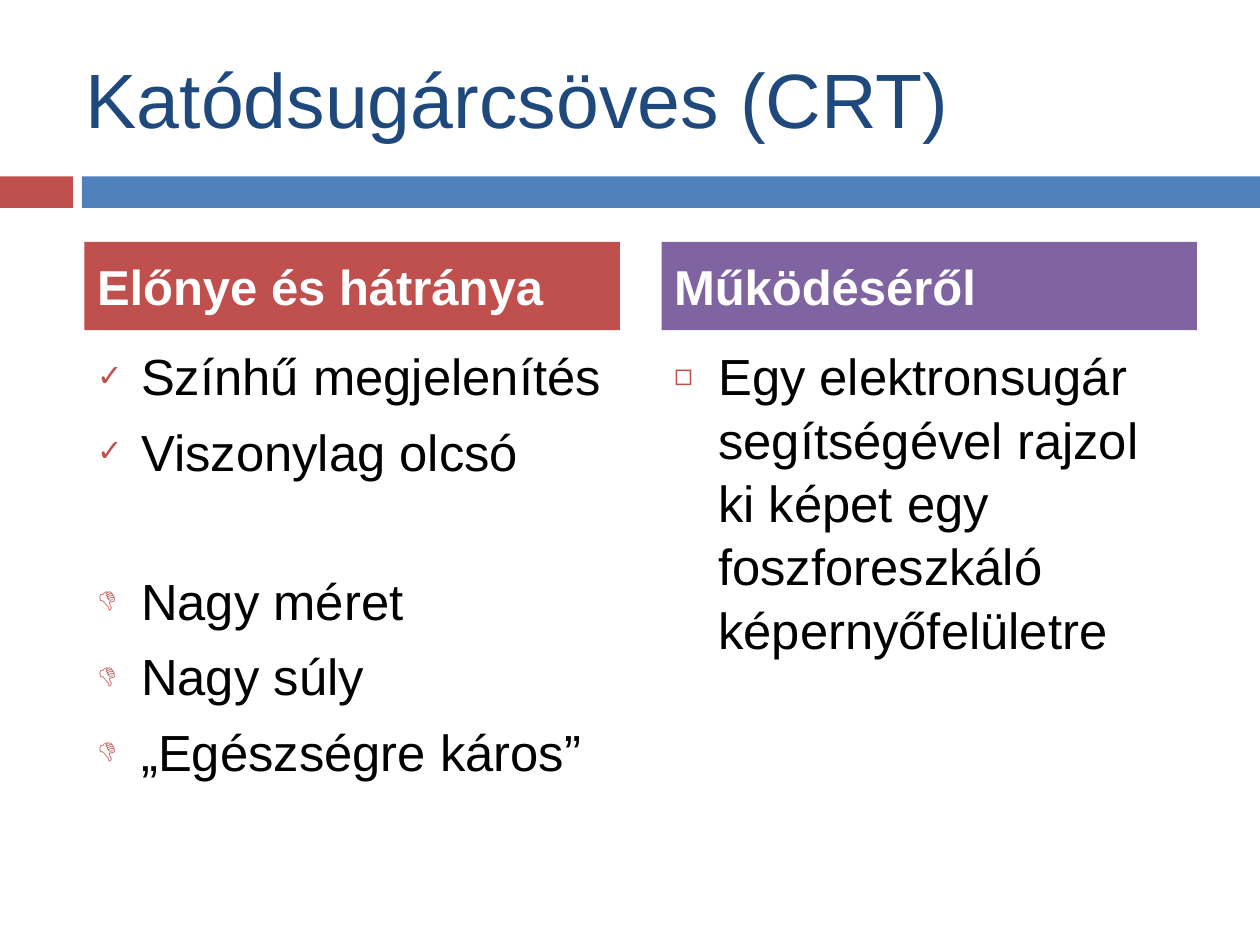
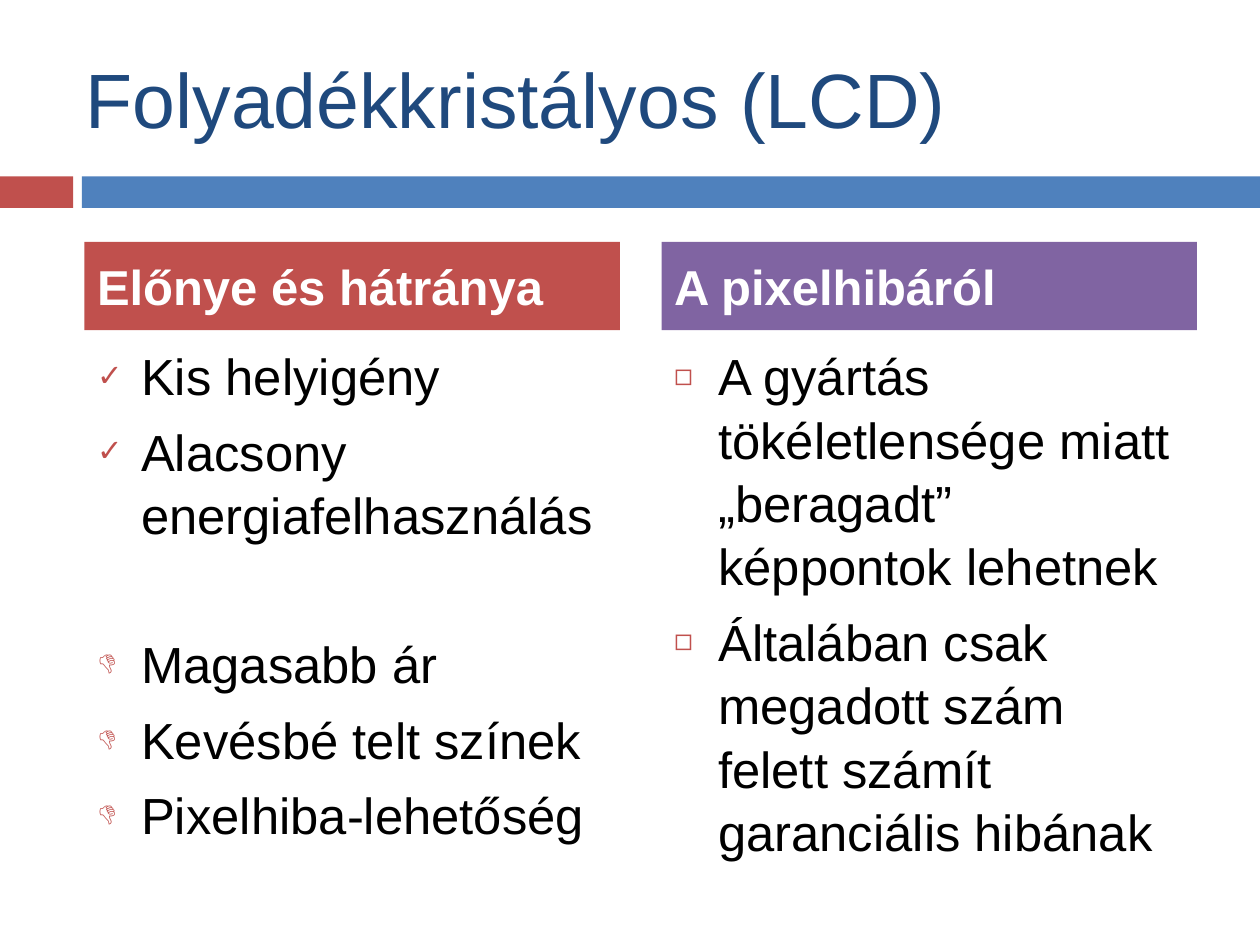
from lxml.etree import SubElement
from pptx import Presentation
from pptx.dml.color import RGBColor
from pptx.enum.shapes import MSO_SHAPE as Preset
from pptx.enum.text import MSO_ANCHOR as Anchor, MSO_AUTO_SIZE as AutoSize, PP_ALIGN as Align
from pptx.oxml.ns import qn
from pptx.util import Inches, Pt

FONT = "Arial"
WHITE, BLACK, NAVY = "FFFFFF", "000000", "1F497D"
RED, BLUE, PURPLE = "C0504D", "4F81BD", "8064A2"
CHECK, THUMB_DOWN, SQUARE = "✓", "👎", "◻"
COMPARISON_LAYOUT = 4
COLUMN_WIDTH = 4.25
COLUMN_LEFTS = (0.67, 5.25)
BODY_SIZE, SPACE_BEFORE, LINE_SPACING = 29, 7, 1.04
GROUP_GAP = 48.75


def color(hex_value):
    return RGBColor.from_string(hex_value)


def write(paragraph, text, size=BODY_SIZE, ink=BLACK, bold=False, before=0, spacing=None):
    paragraph.alignment = Align.LEFT
    paragraph.space_before = Pt(before)
    paragraph.line_spacing = spacing
    run = paragraph.add_run()
    run.text = text
    run.font.name = FONT
    run.font.size = Pt(size)
    run.font.bold = bold
    run.font.color.rgb = color(ink)


def set_bullet(paragraph, symbol):
    properties = paragraph._p.get_or_add_pPr()
    properties.set("marL", str(Inches(0.35)))
    properties.set("indent", str(-Inches(0.35)))
    bullet_color = SubElement(properties, qn("a:buClr"))
    SubElement(bullet_color, qn("a:srgbClr"), val=RED)
    SubElement(properties, qn("a:buSzPct"), val="60000")
    SubElement(properties, qn("a:buFont"), typeface=FONT)
    SubElement(properties, qn("a:buChar"), char=symbol)


class Deck:
    def __init__(self):
        self.presentation = Presentation()
        self.presentation.slide_width = Inches(10)
        self.presentation.slide_height = Inches(7.5)
        self.slide = None

    def add_slide(self):
        layout = self.presentation.slide_layouts[COMPARISON_LAYOUT]
        self.slide = self.presentation.slides.add_slide(layout)

    def band(self, left, width, fill):
        shape = self.slide.shapes.add_shape(
            Preset.RECTANGLE, Inches(left), Inches(1.4), Inches(width), Inches(0.25))
        shape.shadow.inherit = False
        shape.fill.solid()
        shape.fill.fore_color.rgb = color(fill)
        shape.line.fill.background()
        return shape

    def master_bands(self):
        bands = [self.band(0, 0.58, RED), self.band(0.65, 9.35, BLUE)]
        master_tree = self.presentation.slide_master.shapes.element
        for position, shape in enumerate(bands, start=2):
            master_tree.insert(position, shape.element)

    def place(self, index, left, top, width, height, anchor):
        shape = self.slide.placeholders[index]
        shape.left, shape.top = Inches(left), Inches(top)
        shape.width, shape.height = Inches(width), Inches(height)
        frame = shape.text_frame
        frame.word_wrap = True
        frame.auto_size = AutoSize.NONE
        frame.vertical_anchor = anchor
        return shape

    def title(self, text):
        shape = self.place(0, 0.58, 0.3, 8.92, 0.95, Anchor.MIDDLE)
        write(shape.text_frame.paragraphs[0], text, size=44, ink=NAVY)

    def heading(self, column, text, fill):
        shape = self.place(1 + 2 * column, COLUMN_LEFTS[column], 1.92,
                           COLUMN_WIDTH, 0.7, Anchor.MIDDLE)
        shape.fill.solid()
        shape.fill.fore_color.rgb = color(fill)
        write(shape.text_frame.paragraphs[0], text, size=28, ink=WHITE,
              bold=True, before=SPACE_BEFORE)

    def bullets(self, column, groups):
        shape = self.place(2 + 2 * column, COLUMN_LEFTS[column], 2.67,
                           COLUMN_WIDTH, 3.92, Anchor.TOP)
        frame = shape.text_frame
        paragraph = frame.paragraphs[0]
        for group_number, (symbol, items) in enumerate(groups):
            for item_number, item in enumerate(items):
                if group_number or item_number:
                    paragraph = frame.add_paragraph()
                starts_group = group_number > 0 and item_number == 0
                write(paragraph, item, spacing=LINE_SPACING,
                      before=GROUP_GAP if starts_group else SPACE_BEFORE)
                set_bullet(paragraph, symbol)

    def display_type(self, name, advantages, drawbacks, topic, facts):
        self.title(name)
        self.heading(0, "Előnye és hátránya", RED)
        self.bullets(0, [(CHECK, advantages), (THUMB_DOWN, drawbacks)])
        self.heading(1, topic, PURPLE)
        self.bullets(1, [(SQUARE, facts)])


def main():
    deck = Deck()
    deck.add_slide()
    deck.master_bands()
    deck.display_type(
        "Katódsugárcsöves (CRT)",
        ["Színhű megjelenítés", "Viszonylag olcsó"],
        ["Nagy méret", "Nagy súly", "„Egészségre káros”"],
        "Működéséről",
        ["Egy elektronsugár segítségével rajzol ki képet egy foszforeszkáló képernyőfelületre"])

    deck.add_slide()
    deck.display_type(
        "Folyadékkristályos (LCD)",
        ["Kis helyigény", "Alacsony energiafelhasználás"],
        ["Magasabb ár", "Kevésbé telt színek", "Pixelhiba-lehetőség"],
        "A pixelhibáról",
        ["A gyártás tökéletlensége miatt „beragadt” képpontok lehetnek",
         "Általában csak megadott szám felett számít garanciális hibának"])
    deck.presentation.save("out.pptx")


if __name__ == "__main__":
    main()
